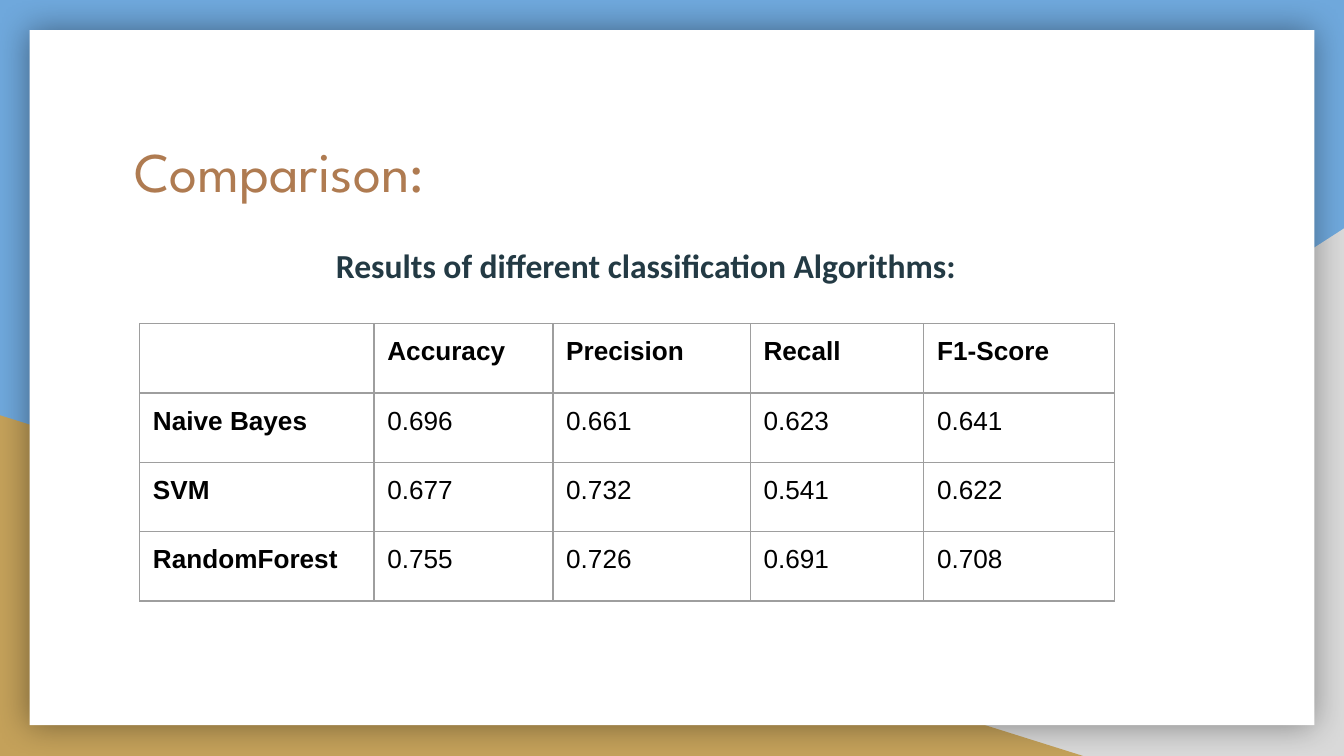
from pptx import Presentation
from pptx.dml.color import RGBColor
from pptx.enum.shapes import MSO_SHAPE as Preset
from pptx.enum.text import MSO_ANCHOR as Anchor, PP_ALIGN as Align
from pptx.oxml import parse_xml
from pptx.oxml.ns import nsdecls
from pptx.util import Cm, Pt

COLOURS = {
    "sky": "6FA8DC", "grey": "D9D9D9", "gold": "C4A15A", "card": "FFFFFF",
    "title": "AF7B51", "heading": "233A44", "cell": "000000",
    "border": "9E9E9E", "shadow": "000000",
}
TITLE_FONT = {"name": "League Spartan", "size": Pt(30), "bold": False}
HEADING_FONT = {"name": "Calibri", "size": Pt(18), "bold": True}
CELL_FONT = {"name": "Arial", "size": Pt(14)}
INSET = Cm(0.25)

RESULTS = [
    ["", "Accuracy", "Precision", "Recall", "F1-Score"],
    ["Naive Bayes", "0.696", "0.661", "0.623", "0.641"],
    ["SVM", "0.677", "0.732", "0.541", "0.622"],
    ["RandomForest", "0.755", "0.726", "0.691", "0.708"],
]
COLUMN_WIDTHS = [4.43, 3.38, 3.73, 3.28, 3.61]
ROW_HEIGHT = 1.31


def rgb(name):
    return RGBColor.from_string(COLOURS[name])


def set_all(target, values):
    for attribute, value in values.items():
        setattr(target, attribute, value)


def write(frame, text, font, colour):
    """Fill a text frame with one left-aligned run and return its paragraph."""
    paragraph = frame.paragraphs[0]
    paragraph.alignment = Align.LEFT
    run = paragraph.add_run()
    run.text = text
    set_all(run.font, font)
    run.font.color.rgb = rgb(colour)
    return paragraph


def format_frame(frame):
    set_all(frame, {
        "word_wrap": True, "vertical_anchor": Anchor.TOP,
        "margin_left": INSET, "margin_right": INSET,
        "margin_top": INSET, "margin_bottom": INSET,
    })


def add_panel(slide, preset, box, colour):
    shape = slide.shapes.add_shape(preset, *map(Cm, box))
    shape.shadow.inherit = False
    shape.fill.solid()
    shape.fill.fore_color.rgb = rgb(colour)
    shape.line.fill.background()
    return shape


def add_glow(shape):
    """Give the shape a soft shadow on all sides."""
    properties = shape._element.spPr
    properties.remove(properties.find("{*}effectLst"))
    properties.append(parse_xml(
        f'<a:effectLst {nsdecls("a")}>'
        f'<a:outerShdw blurRad="{Pt(18)}" dist="0" dir="0" algn="ctr" rotWithShape="0">'
        f'<a:srgbClr val="{COLOURS["shadow"]}"><a:alpha val="40000"/></a:srgbClr>'
        "</a:outerShdw></a:effectLst>"))


def add_backdrop(slide):
    slide.background.fill.solid()
    slide.background.fill.fore_color.rgb = rgb("sky")
    corner = add_panel(slide, Preset.RIGHT_TRIANGLE, (9.96, 4.32, 15.44, 9.97), "grey")
    corner._element.spPr.xfrm.set("flipH", "1")
    add_panel(slide, Preset.RIGHT_TRIANGLE, (0, 7.85, 20.47, 6.44), "gold")
    card = add_panel(slide, Preset.RECTANGLE, (0.56, 0.57, 24.28, 13.14), "card")
    add_glow(card)


def set_title(slide, text):
    title = slide.shapes.title
    set_all(title, {"left": Cm(2.29), "top": Cm(2.34),
                    "width": Cm(20.85), "height": Cm(1.55)})
    format_frame(title.text_frame)
    write(title.text_frame, text, TITLE_FONT, "title")
    # Bring the title in front of the backdrop
    slide.shapes._spTree.append(title._element)


def add_heading(slide, text):
    box = slide.shapes.add_textbox(Cm(2.29), Cm(4.27), Cm(20.85), Cm(1.5))
    format_frame(box.text_frame)
    paragraph = write(box.text_frame, text, HEADING_FONT, "heading")
    set_all(paragraph, {"line_spacing": 1.15, "space_after": Pt(16)})
    indents = paragraph._p.get_or_add_pPr()
    indents.set("marL", str(Cm(2.54)))
    indents.set("indent", str(Cm(1.27)))


def add_borders(cell):
    properties = cell._tc.get_or_add_tcPr()
    for position, side in enumerate(("lnL", "lnR", "lnT", "lnB")):
        properties.insert(position, parse_xml(
            f'<a:{side} {nsdecls("a")} w="{Pt(0.75)}"><a:solidFill>'
            f'<a:srgbClr val="{COLOURS["border"]}"/></a:solidFill></a:{side}>'))


def format_cell(cell, text, bold):
    set_all(cell, {"margin_left": INSET, "margin_right": INSET,
                   "margin_top": INSET, "margin_bottom": INSET,
                   "vertical_anchor": Anchor.TOP})
    cell.fill.background()
    add_borders(cell)
    if text:
        write(cell.text_frame, text, {**CELL_FONT, "bold": bold}, "cell")


def add_results_table(slide):
    frame = slide.shapes.add_table(
        len(RESULTS), len(COLUMN_WIDTHS), Cm(2.64), Cm(6.12),
        Cm(sum(COLUMN_WIDTHS)), Cm(ROW_HEIGHT * len(RESULTS)))
    table = frame.table
    set_all(table, {"first_row": False, "horz_banding": False})
    for column, width in zip(table.columns, COLUMN_WIDTHS):
        column.width = Cm(width)
    for row_index, values in enumerate(RESULTS):
        table.rows[row_index].height = Cm(ROW_HEIGHT)
        for column_index, text in enumerate(values):
            is_label = row_index == 0 or column_index == 0
            format_cell(table.cell(row_index, column_index), text, is_label)


def main():
    presentation = Presentation()
    set_all(presentation, {"slide_width": Cm(25.4), "slide_height": Cm(14.29)})
    slide = presentation.slides.add_slide(presentation.slide_layouts[5])
    add_backdrop(slide)
    set_title(slide, "Comparison:")
    add_heading(slide, "Results of different classification Algorithms:")
    add_results_table(slide)
    presentation.save("out.pptx")


if __name__ == "__main__":
    main()
